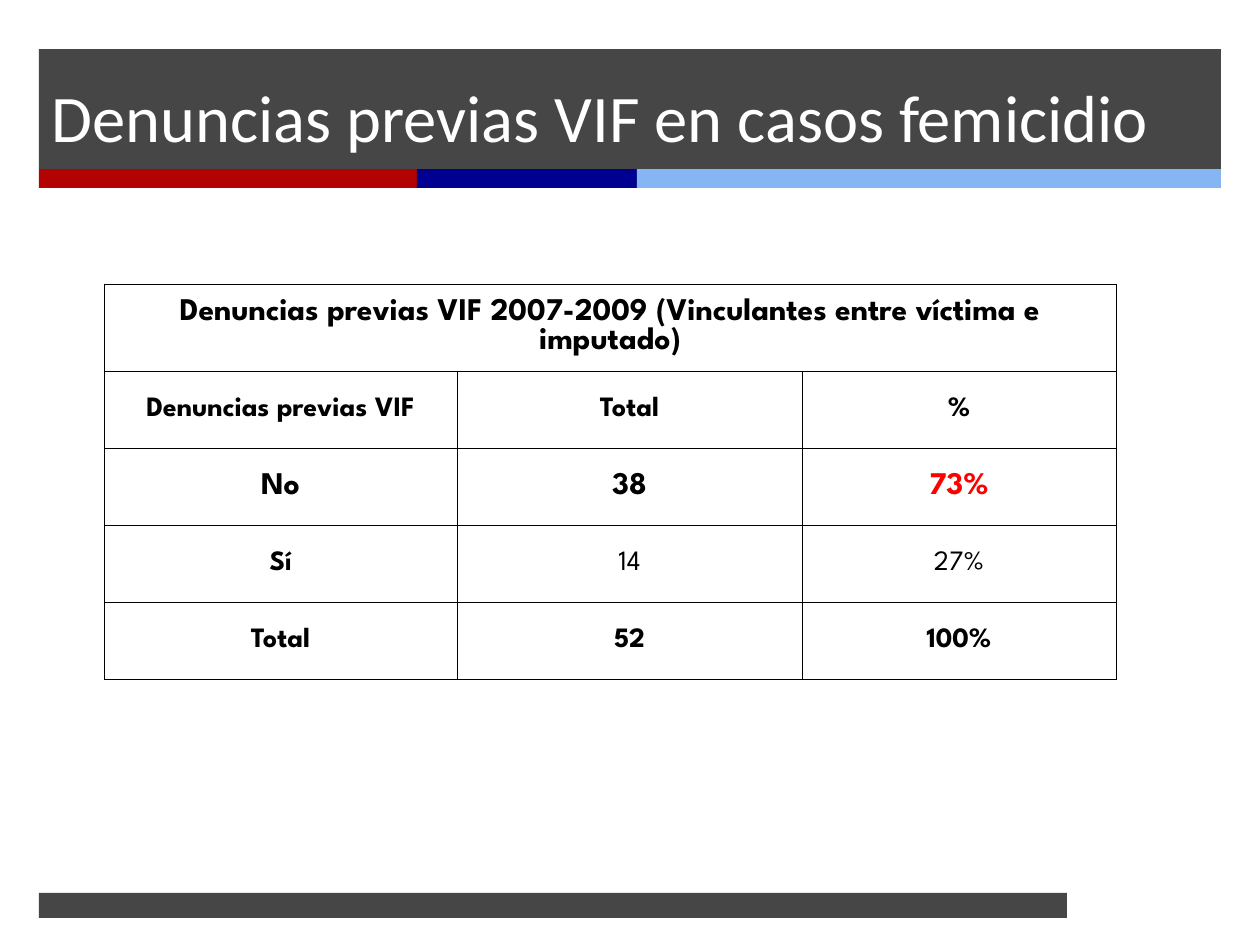
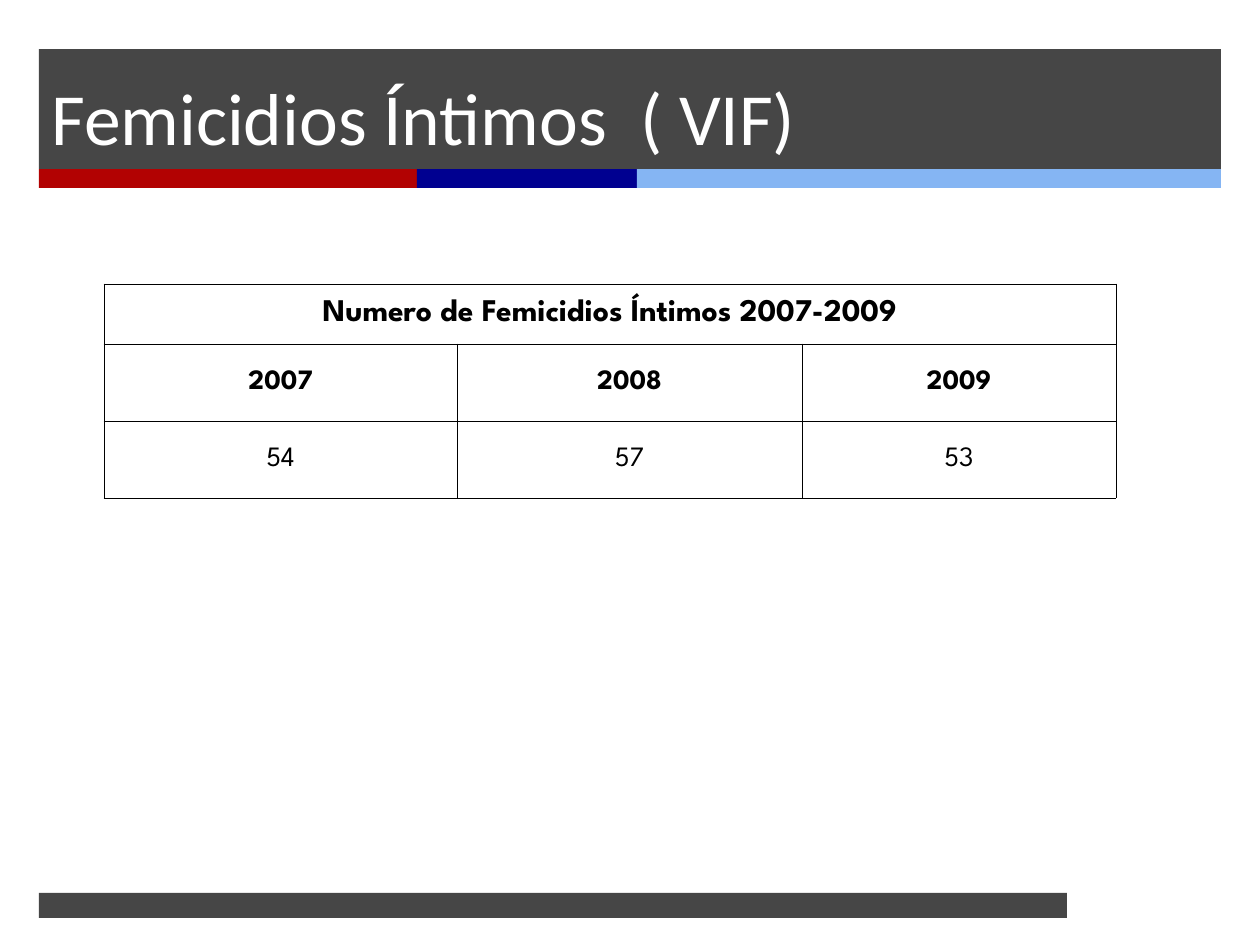
"""Build two slides of femicide tables under a shared banner and footer."""
import lxml.etree
import pptx
import pptx.dml.color
import pptx.enum.shapes
import pptx.enum.text
import pptx.oxml.ns
import pptx.util

RGBColor = pptx.dml.color.RGBColor
GRAY = RGBColor(0x26, 0x26, 0x26)
RED = RGBColor(0xB2, 0x02, 0x02)
NAVY = RGBColor(0x00, 0x00, 0x90)
SKY = RGBColor(0x85, 0xB5, 0xF3)
WHITE = RGBColor(0xFF, 0xFF, 0xFF)
BLACK = RGBColor(0x00, 0x00, 0x00)
ALERT = RGBColor(0xFF, 0x00, 0x00)

PX = 914400 / 126
TITLE_FONT = "Calibri"
TABLE_FONT = "League Spartan"
BANDS = [
    (39, 49, 1182, 120, GRAY, 85),
    (39, 169, 378, 19, RED, 100),
    (417, 169, 220, 19, NAVY, 100),
    (637, 169, 584, 19, SKY, 100),
    (39, 893, 1028, 25, GRAY, 85),
]
TABLE_LEFT, TABLE_TOP = 104, 284
COLUMN_WIDTHS = [353, 345, 314]
BODY_ROW_HEIGHT = 77
CELL_MARGIN = 6

SLIDES = [
    {
        "title": "Denuncias previas VIF en casos femicidio",
        "title_size": 38,
        "heading": "Denuncias previas VIF 2007-2009 (Vinculantes entre víctima e imputado)",
        "heading_height": 75,
        "rows": [
            (["Denuncias previas VIF", "Total", "%"], 16),
            (["No", "38", "73%"], 18),
            (["Sí", "14", "27%"], 16),
            (["Total", "52", "100%"], 16),
        ],
        "regular": {"14", "27%"},
        "alert": {"73%"},
    },
    {
        "title": "Femicidios Íntimos  ( VIF)",
        "title_size": 42,
        "heading": "Numero de Femicidios Íntimos 2007-2009",
        "heading_height": 60,
        "rows": [
            (["2007", "2008", "2009"], 16),
            (["54", "57", "53"], 16),
        ],
        "regular": {"54", "57", "53"},
        "alert": set(),
    },
]


def px(length):
    return pptx.util.Emu(round(length * PX))


def write(paragraph, text, color, **format_values):
    run = paragraph.add_run()
    run.text = text
    run.font.color.rgb = color
    for name, value in format_values.items():
        setattr(run.font, name, value)


presentation = pptx.Presentation()
presentation.slide_width = px(1260)
presentation.slide_height = px(945)

for content in SLIDES:
    slide = presentation.slides.add_slide(presentation.slide_layouts[6])

    for left, top, width, height, color, opacity in BANDS:
        band = slide.shapes.add_shape(
            pptx.enum.shapes.MSO_SHAPE.RECTANGLE, px(left), px(top), px(width), px(height)
        )
        band.shadow.inherit = False
        band.fill.solid()
        band.fill.fore_color.rgb = color
        band.line.fill.background()
        if opacity < 100:
            color_element = band.fill._xPr.find(".//" + pptx.oxml.ns.qn("a:srgbClr"))
            alpha = lxml.etree.SubElement(color_element, pptx.oxml.ns.qn("a:alpha"))
            alpha.set("val", str(opacity * 1000))

    title = slide.shapes.add_textbox(px(39), px(49), px(1182), px(134)).text_frame
    title.word_wrap = True
    title.vertical_anchor = pptx.enum.text.MSO_ANCHOR.MIDDLE
    write(
        title.paragraphs[0], content["title"], WHITE,
        size=pptx.util.Pt(content["title_size"]), name=TITLE_FONT,
    )

    rows = [([content["heading"], "", ""], 18)] + content["rows"]
    heights = [content["heading_height"]] + [BODY_ROW_HEIGHT] * len(content["rows"])
    table = slide.shapes.add_table(
        len(rows), len(COLUMN_WIDTHS), px(TABLE_LEFT), px(TABLE_TOP),
        px(sum(COLUMN_WIDTHS)), px(sum(heights)),
    ).table
    table.first_row = False
    table.horz_banding = False
    for column, width in zip(table.columns, COLUMN_WIDTHS):
        column.width = px(width)
    for row, height in zip(table.rows, heights):
        row.height = px(height)
    table.cell(0, 0).merge(table.cell(0, len(COLUMN_WIDTHS) - 1))

    cell_format = {
        "vertical_anchor": pptx.enum.text.MSO_ANCHOR.MIDDLE,
        "margin_left": px(CELL_MARGIN),
        "margin_right": px(CELL_MARGIN),
        "margin_top": px(CELL_MARGIN),
        "margin_bottom": px(CELL_MARGIN),
    }
    for row_index, (texts, size) in enumerate(rows):
        for column_index, text in enumerate(texts):
            cell = table.cell(row_index, column_index)
            for name, value in cell_format.items():
                setattr(cell, name, value)
            properties = cell._tc.get_or_add_tcPr()
            for side in ("a:lnL", "a:lnR", "a:lnT", "a:lnB"):
                border = lxml.etree.SubElement(properties, pptx.oxml.ns.qn(side))
                border.set("w", str(pptx.util.Pt(0.45)))
                fill = lxml.etree.SubElement(border, pptx.oxml.ns.qn("a:solidFill"))
                border_color = lxml.etree.SubElement(fill, pptx.oxml.ns.qn("a:srgbClr"))
                border_color.set("val", str(BLACK))
            cell.fill.background()
            if text:
                paragraph = cell.text_frame.paragraphs[0]
                paragraph.alignment = pptx.enum.text.PP_ALIGN.CENTER
                write(
                    paragraph, text, ALERT if text in content["alert"] else BLACK,
                    size=pptx.util.Pt(size), name=TABLE_FONT,
                    bold=text not in content["regular"],
                )

presentation.save("out.pptx")
